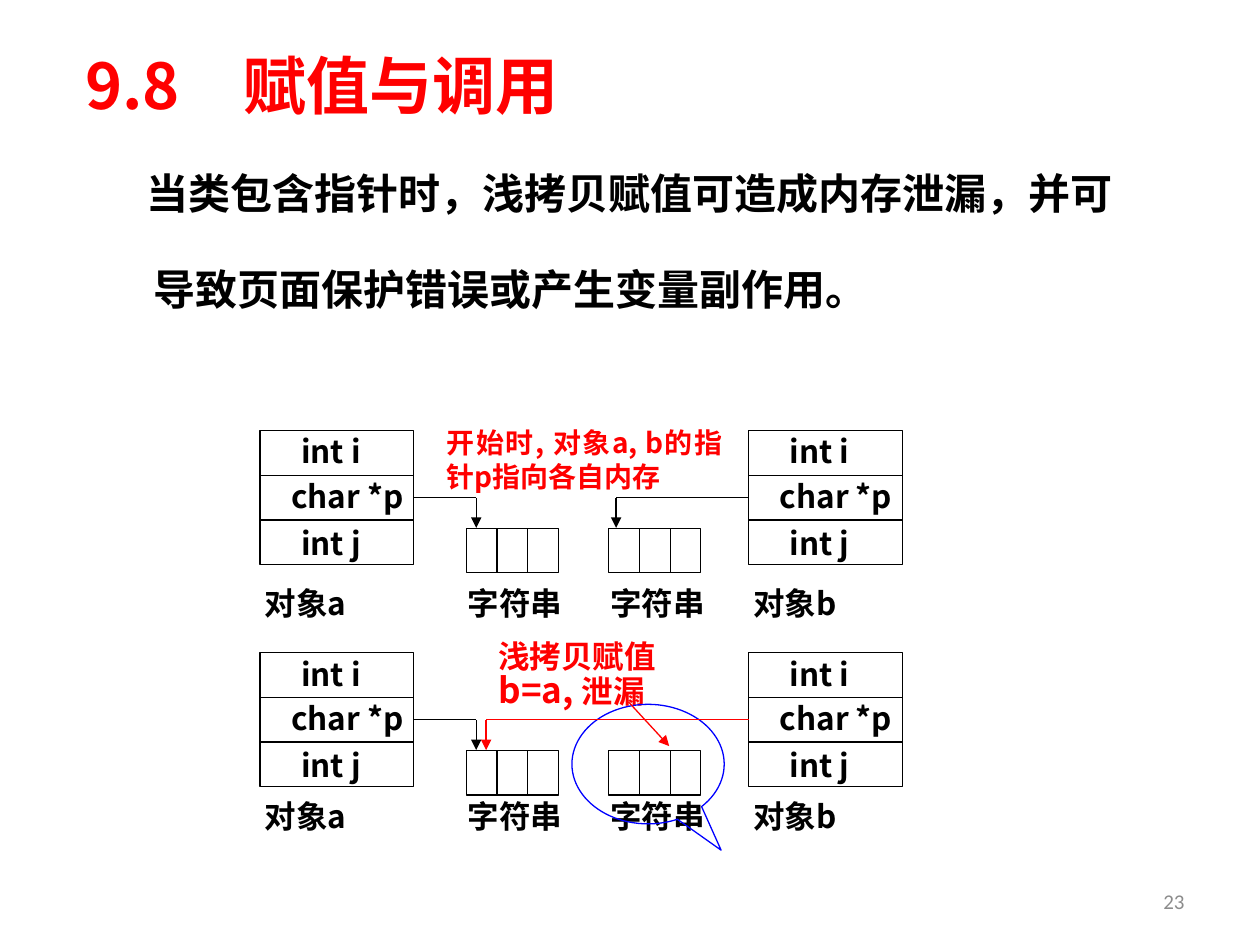
from lxml.etree import SubElement
from pptx import Presentation
from pptx.dml.color import RGBColor
from pptx.enum.shapes import MSO_CONNECTOR, MSO_SHAPE
from pptx.enum.text import MSO_ANCHOR, PP_ALIGN
from pptx.oxml.ns import qn
from pptx.util import Cm, Pt

HUES = {"ink": "000000", "red": "FF0000", "blue": "0000FF", "gray": "8C8C8C"}
SANS, HAN, LATIN = "Noto Sans CJK JP", "Noto Sans CJK SC", "Calibri"
ROW, WIDE, CELL = 0.9, 3.1, 0.62
LEFT, RIGHT = 5.24, 15.09


def paint(hue):
    """Return the colour that a name stands for."""
    return RGBColor.from_string(HUES[hue])


def add_run(para, text, size, hue="ink", font=SANS, bold=True):
    """Add one run, with its font for Latin and East Asian letters."""
    run = para.add_run()
    run.text = text
    run.font.size, run.font.bold, run.font.name = Pt(size), bold, font
    run.font.color.rgb = paint(hue)
    SubElement(run.font._element, qn("a:ea"), typeface=font)


def add_frame(slide, box, wrap=True, anchor=MSO_ANCHOR.TOP):
    """Add a text box and return its frame."""
    frame = slide.shapes.add_textbox(*map(Cm, box)).text_frame
    frame.word_wrap, frame.vertical_anchor = wrap, anchor
    return frame


def add_label(slide, text, box):
    """Add one line of diagram text."""
    para = add_frame(slide, box).paragraphs[0]
    para.line_spacing = 0.9
    add_run(para, text, 18)


def add_shape(slide, kind, box, hue="ink"):
    """Add an outlined shape without fill."""
    shape = slide.shapes.add_shape(kind, *map(Cm, box))
    shape.shadow.inherit = False
    shape.fill.background()
    shape.line.color.rgb, shape.line.width = paint(hue), Pt(0.75)
    return shape


def add_line(slide, start, end, hue="ink", arrow=False):
    """Add a straight line, with an arrowhead at its end if asked."""
    line = slide.shapes.add_connector(MSO_CONNECTOR.STRAIGHT, *map(Cm, start + end))
    line.line.color.rgb, line.line.width = paint(hue), Pt(0.75)
    if arrow:
        SubElement(line.line._get_or_add_ln(), qn("a:tailEnd"), type="triangle")
    SubElement(line._element.spPr, qn("a:effectLst"))
    return line


def add_object(slide, name, x, y, drop):
    """Draw an object with its three members and its name."""
    body = add_shape(slide, MSO_SHAPE.RECTANGLE, (x, y, WIDE, 3 * ROW))
    for step in (1, 2):
        level = y + step * ROW
        add_line(slide, (x, level), (x + WIDE, level))
    add_label(slide, "int i", (x + 0.58, y, 2.13, ROW))
    add_label(slide, "char *p", (x + 0.38, y + ROW, 2.92, ROW))
    add_label(slide, "int j", (x + 0.58, y + 1.84, 2.13, ROW))
    add_label(slide, name, (x - 0.15, y + drop, 3.48, ROW))
    return body


def add_string(slide, x, y, drop):
    """Draw a string of three cells and its caption."""
    top = y + 1.97
    add_shape(slide, MSO_SHAPE.RECTANGLE, (x, top, 3 * CELL, ROW))
    for step in (1, 2):
        mid = x + step * CELL
        add_line(slide, (mid, top), (mid, top + ROW))
    add_label(slide, "字符串", (x - 0.22, y + drop, 2.46, ROW))


def add_pointer(slide, body, side, edge, x, y, hue="ink"):
    """Lead from the side of an object across and down to a string."""
    mid = y + 1.5 * ROW
    add_line(slide, (edge, mid), (x, mid), hue).begin_connect(body, side)
    add_line(slide, (x, mid), (x, y + 1.96), hue, True)


def add_state(slide, y, drop):
    """Draw both objects and strings with the pointer of a, and return b."""
    first = add_object(slide, "对象a", LEFT, y, drop)
    second = add_object(slide, "对象b", RIGHT, y, drop)
    for x in (9.4, 12.27):
        add_string(slide, x, y, drop)
    add_pointer(slide, first, 3, LEFT + WIDE, 9.6, y)
    return second


def add_heads(slide):
    """Write the title, the statement and the page number."""
    title = add_frame(slide, (1.47, 0.53, 21.59, 2.34), anchor=MSO_ANCHOR.MIDDLE)
    add_run(title.paragraphs[0], "9.8　赋值与调用", 36, "red", HAN)
    para = add_frame(slide, (1.9, 2.34, 21.59, 4.01)).paragraphs[0]
    para.line_spacing, para.space_before = 1.9, Pt(4.8)
    props = para._p.get_or_add_pPr()
    props.set("marL", str(Cm(0.95)))
    props.set("indent", str(Cm(-0.15)))
    add_run(para, "当类包含指针时，浅拷贝赋值可造成内存泄漏，并可导致页面保护错误或产生变量副作用。", 24)
    page = add_frame(slide, (18.21, 17.65, 5.92, 1.02), anchor=MSO_ANCHOR.MIDDLE)
    page.paragraphs[0].alignment = PP_ALIGN.RIGHT
    add_run(page.paragraphs[0], "23", 12, "gray", LATIN, False)


def add_notes(slide):
    """Write the red remarks on both states."""
    para = add_frame(slide, (8.76, 8.46, 6.05, 1.63)).paragraphs[0]
    para.alignment = PP_ALIGN.JUSTIFY
    add_run(para, "开始时, 对象a, b的指针p指向各自内存", 16, "red")
    frame = add_frame(slide, (9.8, 12.93, 3.71, 1.63), wrap=False)
    rows = [[("浅拷贝赋值", 18)], [("b=a, ", 20), ("泄漏", 18)]]
    for para, runs in zip((frame.paragraphs[0], frame.add_paragraph()), rows):
        para.alignment = PP_ALIGN.JUSTIFY
        para.line_spacing, para.space_before = 0.7, Pt(3.6)
        for text, size in runs:
            add_run(para, text, size, "red")


def main():
    """Build the slide and save it."""
    deck = Presentation()
    deck.slide_width, deck.slide_height = Cm(25.4), Cm(19.05)
    slide = deck.slides.add_slide(deck.slide_layouts[6])
    add_heads(slide)
    before, after = 8.68, 13.16
    start = add_state(slide, before, 3.05)
    add_pointer(slide, start, 1, RIGHT, 12.42, before)
    final = add_state(slide, after, 2.87)
    add_notes(slide)
    bubble = add_shape(slide, MSO_SHAPE.OVAL_CALLOUT, (11.53, 14.2, 3.07, 2.41), "blue")
    bubble.adjustments[0], bubble.adjustments[1] = 0.48, 0.72
    add_pointer(slide, final, 1, RIGHT, 9.8, after, "red")
    add_line(slide, (12.67, 14.15), (13.49, 15.04), "red", True)
    deck.save("out.pptx")


if __name__ == "__main__":
    main()
